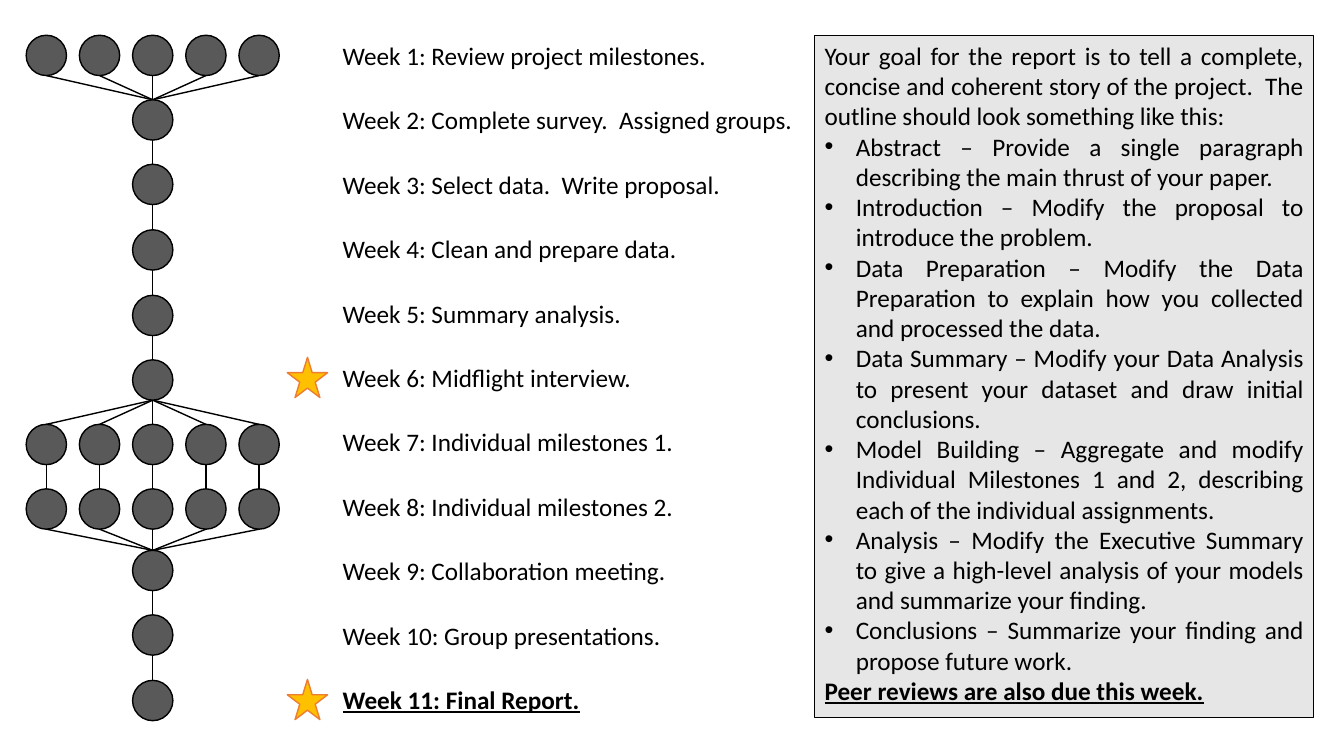
"""Build the project timeline slide with the final report outline."""
from lxml.etree import SubElement
from pptx import Presentation
from pptx.dml.color import RGBColor
from pptx.enum.shapes import MSO_CONNECTOR as Connector, MSO_SHAPE as Shape
from pptx.enum.text import MSO_ANCHOR as Anchor, MSO_AUTO_SIZE as AutoSize, PP_ALIGN as Align
from pptx.oxml.ns import qn
from pptx.util import Inches, Pt

BLACK = RGBColor(0x00, 0x00, 0x00)
NODE_GRAY = RGBColor(0x59, 0x59, 0x59)
PANEL_GRAY = RGBColor(0xE7, 0xE6, 0xE6)
GOLD = RGBColor(0xFF, 0xC0, 0x00)
ORANGE = RGBColor(0xED, 0x7D, 0x31)

WEEKS = [
    ("Review project milestones.", 5),
    ("Complete survey.  Assigned groups.", 1),
    ("Select data.  Write proposal.", 1),
    ("Clean and prepare data.", 1),
    ("Summary analysis.", 1),
    ("Midflight interview.", 1),
    ("Individual milestones 1.", 5),
    ("Individual milestones 2.", 5),
    ("Collaboration meeting.", 1),
    ("Group presentations.", 1),
    ("Final Report.", 1),
]
STARRED_WEEKS = (6, 11)
CURRENT_WEEK = 11

GOAL = ("Your goal for the report is to tell a complete, concise and coherent story "
        "of the project.  The outline should look something like this:")
OUTLINE = [
    "Abstract – Provide a single paragraph describing the main thrust of your paper.",
    "Introduction – Modify the proposal to introduce the problem.",
    "Data Preparation – Modify the Data Preparation to explain how you collected "
    "and processed the data.",
    "Data Summary – Modify your Data Analysis to present your dataset and draw "
    "initial conclusions.",
    "Model Building – Aggregate and modify Individual Milestones 1 and 2, describing "
    "each of the individual assignments.",
    "Analysis – Modify the Executive Summary to give a high-level analysis of your "
    "models and summarize your finding.",
    "Conclusions – Summarize your finding and propose future work.",
]
REMINDER = "Peer reviews are also due this week."

TOP, SIZE = 0.35, 0.4
FIRST_CENTER, LAST_CENTER, TEAM = 0.46, 2.57, 5
NODE_TOPS = [0.35, 0.99, 1.63, 2.28, 2.93, 3.57, 4.21, 4.85, 5.46, 6.1, 6.75]
LABEL_STEP = (6.74 - TOP) / (len(WEEKS) - 1)


def add_figure(page, kind, left, top, width, height, fill, line, weight=1):
    figure = page.shapes.add_shape(
        kind, Inches(left), Inches(top), Inches(width), Inches(height))
    figure.shadow.inherit = False
    figure.fill.solid()
    figure.fill.fore_color.rgb = fill
    figure.line.color.rgb = line
    figure.line.width = Pt(weight)
    return figure


def add_link(page, start, end):
    link = page.shapes.add_connector(
        Connector.STRAIGHT, *(Inches(value) for value in (*start, *end)))
    link.line.color.rgb = BLACK
    link.line.width = Pt(1)
    SubElement(link._element.spPr, qn("a:effectLst"))


def write(para, text, strong=False):
    para.text = text
    para.font.name = "Calibri"
    para.font.size = Pt(18)
    para.font.color.rgb = BLACK
    if strong:
        para.font.bold = para.font.underline = True


def add_bullet(para):
    properties = para._p.get_or_add_pPr()
    properties.set("marL", str(Inches(0.31)))
    properties.set("indent", str(-Inches(0.31)))
    SubElement(properties, qn("a:buFont"), typeface="Arial")
    SubElement(properties, qn("a:buChar"), char="•")


def node_centers(count):
    step = (LAST_CENTER - FIRST_CENTER) / (TEAM - 1)
    first = (TEAM - count) / 2
    return [FIRST_CENTER + (first + index) * step for index in range(count)]


def add_network(page):
    rows = [(node_centers(count), top) for (_, count), top in zip(WEEKS, NODE_TOPS)]
    for (uppers, upper_top), (lowers, lower_top) in zip(rows, rows[1:]):
        if len(uppers) == len(lowers):
            pairs = zip(uppers, lowers)
        else:
            pairs = [(upper, lower) for upper in uppers for lower in lowers]
        for upper, lower in pairs:
            add_link(page, (upper, upper_top + SIZE), (lower, lower_top))
    for centers, top in rows:
        for center in centers:
            add_figure(page, Shape.OVAL, center - SIZE / 2, top, SIZE, SIZE, NODE_GRAY, BLACK)


def add_week_labels(page):
    for week, (task, _) in enumerate(WEEKS, 1):
        top = TOP + (week - 1) * LABEL_STEP
        box = page.shapes.add_textbox(Inches(3.3), Inches(top), Inches(4.78), Inches(SIZE))
        box.text_frame.word_wrap = True
        box.text_frame.auto_size = AutoSize.SHAPE_TO_FIT_TEXT
        write(box.text_frame.paragraphs[0], f"Week {week}: {task}", week == CURRENT_WEEK)
        if week in STARRED_WEEKS:
            add_figure(page, Shape.STAR_5_POINT, 2.85, top, SIZE, SIZE, GOLD, ORANGE)


def add_report_panel(page):
    panel = add_figure(page, Shape.RECTANGLE, 8.08, TOP, 4.95, 6.77, PANEL_GRAY, BLACK, 0.75)
    frame = panel.text_frame
    frame.word_wrap = True
    frame.auto_size = AutoSize.SHAPE_TO_FIT_TEXT
    frame.vertical_anchor = Anchor.TOP
    for index, text in enumerate([GOAL, *OUTLINE, REMINDER]):
        para = frame.add_paragraph() if index else frame.paragraphs[0]
        if text in OUTLINE:
            add_bullet(para)
        write(para, text, text == REMINDER)
        para.alignment = Align.JUSTIFY


deck = Presentation()
deck.slide_width, deck.slide_height = Inches(13.33), Inches(7.5)
page = deck.slides.add_slide(deck.slide_layouts[6])
add_network(page)
add_week_labels(page)
add_report_panel(page)
deck.save("out.pptx")
